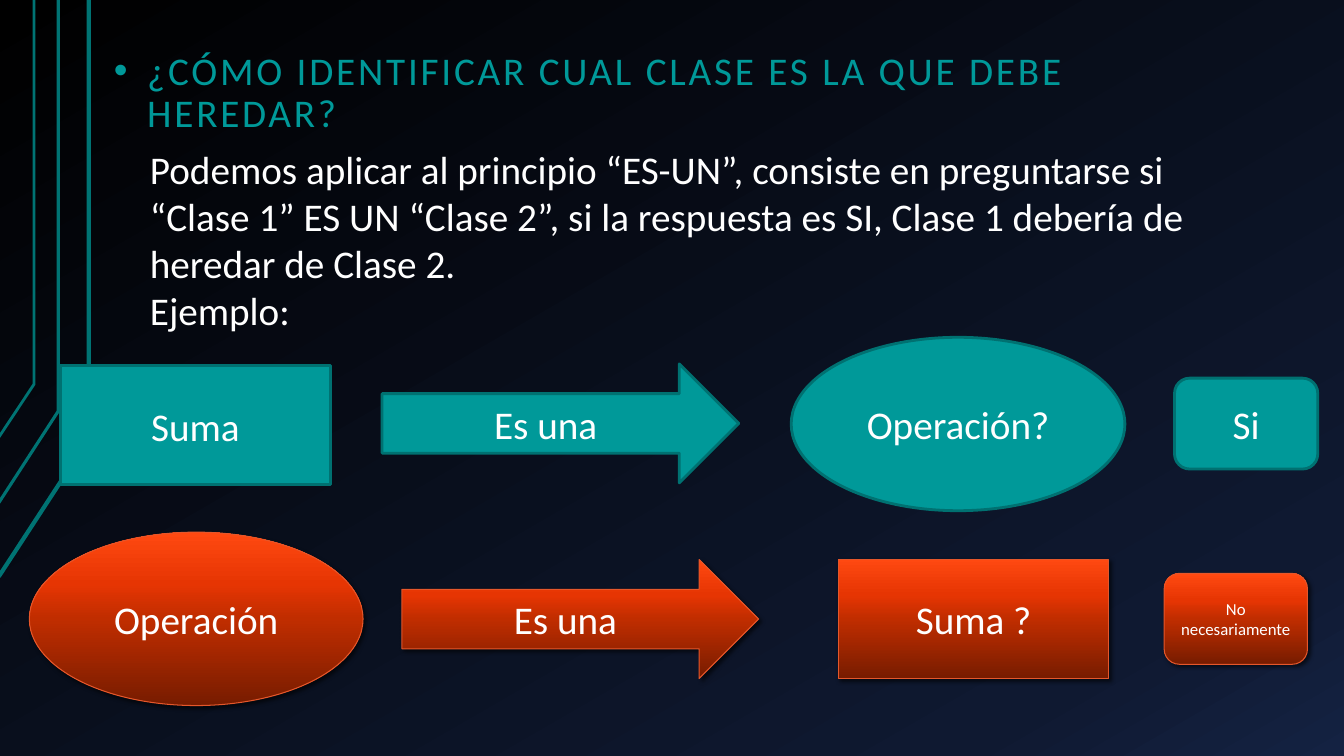
import pptx
import pptx.dml.color
import pptx.enum.shapes
import pptx.enum.text
import pptx.oxml.ns
import pptx.util
from lxml import etree

Cm = pptx.util.Cm
Pt = pptx.util.Pt
qn = pptx.oxml.ns.qn
Shape = pptx.enum.shapes.MSO_SHAPE
Align = pptx.enum.text.PP_ALIGN
Anchor = pptx.enum.text.MSO_ANCHOR


def color(hex_text):
    """Return the colour for a hex string."""
    return pptx.dml.color.RGBColor.from_string(hex_text)


def set_gradient(fill, element, stops, angle):
    """Give a fill a linear gradient; the angle runs counter-clockwise."""
    fill.gradient()
    fill.gradient_angle = angle
    stop_list = element.find(".//" + qn("a:gsLst"))
    stop_list.clear()
    for position, hex_text in stops:
        stop = etree.SubElement(stop_list, qn("a:gs"), pos=str(position * 1000))
        etree.SubElement(stop, qn("a:srgbClr"), val=hex_text)


TEAL, TEAL_EDGE, WHITE = "009999", "007171", "FFFFFF"
RED_STOPS = [(0, "771C00"), (50, "C02D00"), (70, "E63503"), (100, "FF4911")]
NIGHT_STOPS = [(0, "000000"), (85, "0F1931"), (100, "142242")]

presentation = pptx.Presentation()
presentation.slide_width = Cm(33.87)
presentation.slide_height = Cm(19.05)
slide = presentation.slides.add_slide(presentation.slide_layouts[5])
set_gradient(slide.background.fill, slide.element, NIGHT_STOPS, 300)

# Bent lines at the left edge: x, height of the bend, end at the edge, width
for x, bend, end, width in [
    (2.24, 11.05, 14.53, 3),
    (1.47, 10.36, 12.67, 2.25),
    (0.86, 9.68, 11.02, 2),
]:
    builder = slide.shapes.build_freeform(Cm(-0.03), Cm(end))
    builder.add_line_segments([(Cm(x), Cm(bend)), (Cm(x), 0)], close=False)
    bent_line = builder.convert_to_shape()
    bent_line.shadow.inherit = False
    bent_line.fill.background()
    bent_line.line.color.rgb = color("007373")
    bent_line.line.width = Pt(width)

# Title with a bullet
title = slide.shapes.title
title.left, title.top, title.width, title.height = Cm(2.54), Cm(1.12), Cm(27.61), Cm(1.6)
frame = title.text_frame
frame.text = "¿CÓMO IDENTIFICAR CUAL CLASE ES LA QUE DEBE HEREDAR?"
frame.word_wrap = True
frame.auto_size = pptx.enum.text.MSO_AUTO_SIZE.NONE
frame.vertical_anchor = Anchor.TOP
frame.margin_left = frame.margin_right = Cm(0.33)
frame.margin_top = frame.margin_bottom = Cm(0.18)
paragraph = frame.paragraphs[0]
paragraph.alignment = Align.LEFT
paragraph.line_spacing = 0.9
paragraph.space_before = Pt(16)
properties = paragraph._p.get_or_add_pPr()
properties.set("marL", str(Cm(0.84)))
properties.set("indent", str(Cm(-0.84)))
bullet_color = etree.SubElement(properties, qn("a:buClr"))
etree.SubElement(bullet_color, qn("a:srgbClr"), val=TEAL)
etree.SubElement(properties, qn("a:buFont"), typeface="Arial")
etree.SubElement(properties, qn("a:buChar"), char="•")
paragraph.font.name = "Calibri"
paragraph.font.size = Pt(28)
paragraph.font.color.rgb = color(TEAL)
paragraph.runs[0]._r.get_or_add_rPr().set("spc", "200")

# Explanation
explanation = slide.shapes.add_textbox(Cm(3.53), Cm(3.53), Cm(27.61), Cm(5.05))
frame = explanation.text_frame
frame.word_wrap = True
frame.text = (
    "Podemos aplicar al principio “ES-UN”, consiste en preguntarse si “Clase 1” "
    "ES UN “Clase 2”, si la respuesta es SI, Clase 1 debería de heredar de Clase 2."
    "\nEjemplo:"
)
for paragraph in frame.paragraphs:
    paragraph.font.name = "Calibri"
    paragraph.font.size = Pt(28)
    paragraph.font.color.rgb = color(WHITE)

# Example rows: the teal one holds, the red one does not
sizes = {
    Shape.RECTANGLE: (6.81, 3),
    Shape.RIGHT_ARROW: (8.99, 3),
    Shape.OVAL: (8.41, 4.37),
    Shape.ROUNDED_RECTANGLE: (3.61, 2.29),
}
examples = [
    (Shape.RECTANGLE, 1.52, 9.22, "Suma", 28, False),
    (Shape.RIGHT_ARROW, 9.63, 9.17, "Es una", 28, False),
    (Shape.OVAL, 19.94, 8.5, "Operación?", 28, False),
    (Shape.ROUNDED_RECTANGLE, 29.6, 9.53, "Si", 28, False),
    (Shape.OVAL, 0.74, 13.41, "Operación", 28, True),
    (Shape.RIGHT_ARROW, 10.13, 14.1, "Es una", 28, True),
    (Shape.RECTANGLE, 21.13, 14.1, "Suma ?", 28, True),
    (Shape.ROUNDED_RECTANGLE, 29.34, 14.45, "No necesariamente", 12, True),
]
for form, left, top, text, size, is_red in examples:
    width, height = sizes[form]
    shape = slide.shapes.add_shape(form, Cm(left), Cm(top), Cm(width), Cm(height))
    shape.shadow.inherit = False
    if is_red:
        set_gradient(shape.fill, shape.element, RED_STOPS, 90)
        shape.line.color.rgb = color("E5572B")
        shape.line.width = Pt(0.75)
        effects = shape.element.find(".//" + qn("a:effectLst"))
        shadow = etree.SubElement(
            effects, qn("a:outerShdw"), blurRad=str(Pt(3)), dist=str(Pt(2)),
            dir="2700000", algn="tl", rotWithShape="0",
        )
        shadow_color = etree.SubElement(shadow, qn("a:srgbClr"), val="000000")
        etree.SubElement(shadow_color, qn("a:alpha"), val="60000")
    else:
        shape.fill.solid()
        shape.fill.fore_color.rgb = color(TEAL)
        shape.line.color.rgb = color(TEAL_EDGE)
        shape.line.width = Pt(2)
    frame = shape.text_frame
    frame.text = text
    frame.word_wrap = True
    frame.vertical_anchor = Anchor.MIDDLE
    paragraph = frame.paragraphs[0]
    paragraph.alignment = Align.CENTER
    paragraph.font.name = "Calibri"
    paragraph.font.size = Pt(size)
    paragraph.font.color.rgb = color(WHITE)

presentation.save("out.pptx")
